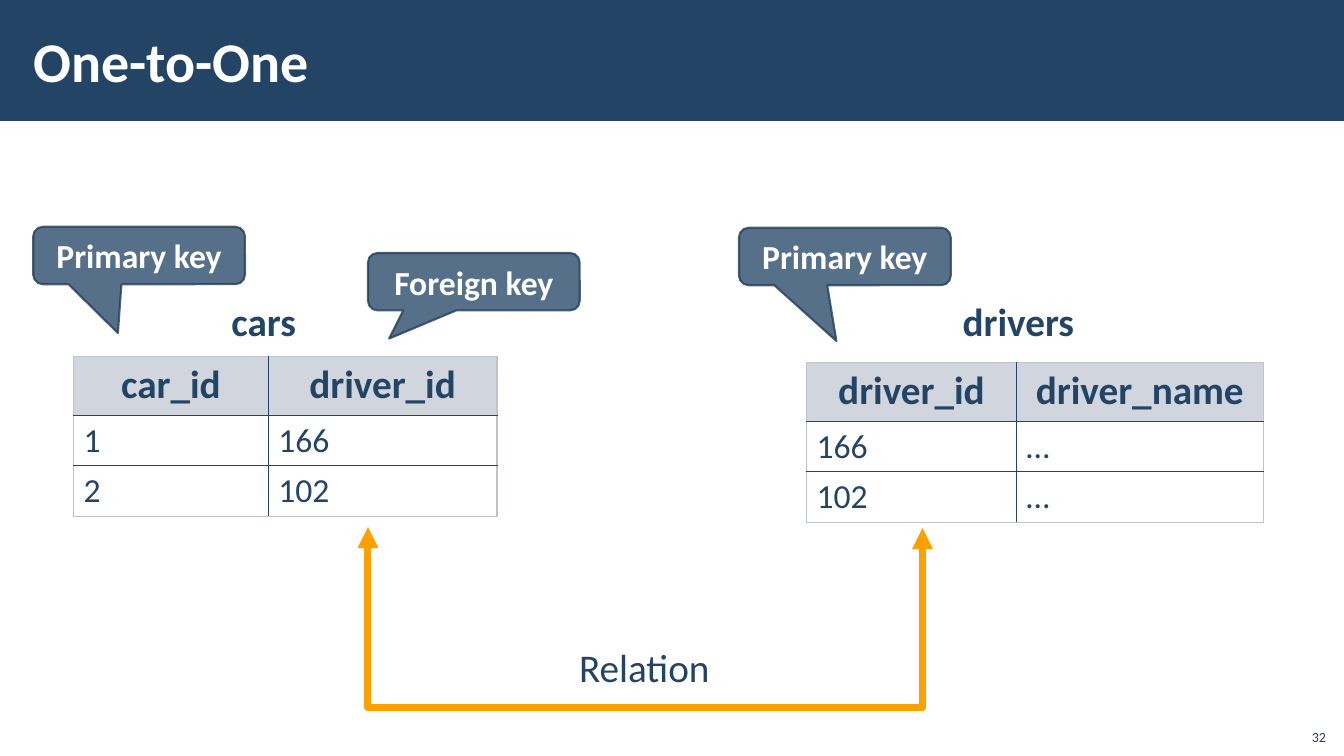
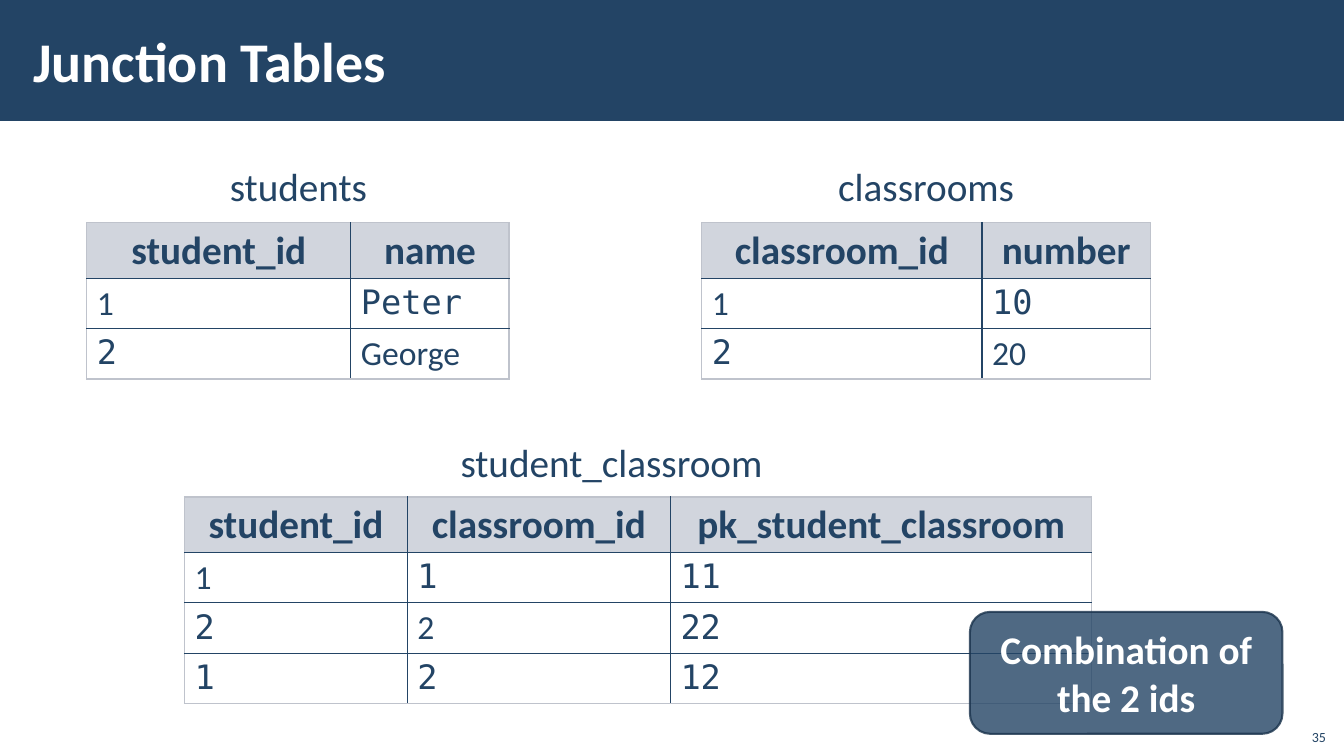
from dataclasses import dataclass

from lxml import etree
from pptx import Presentation
from pptx import util as u
from pptx.dml import color
from pptx.enum import shapes, text
from pptx.oxml import ns


@dataclass(frozen=True)
class Theme:
    navy: str = "234465"
    slate: str = "4F6984"
    edge: str = "253E57"
    dark: str = "1A334C"
    head: str = "D1D5DD"
    rim: str = "BFC3CC"
    gold: str = "FFA000"
    white: str = "FFFFFF"
    font: str = "Calibri"
    mono: str = "DejaVu Sans Mono"
    title: int = 40
    label: int = 28
    cell: int = 24
    page: int = 10


T = Theme()
Align, Anchor = text.PP_ALIGN, text.MSO_ANCHOR


# Helpers
def rgb(code):
    return color.RGBColor.from_string(code)


def inches(*sizes):
    return [u.Inches(size) for size in sizes]


def assign(thing, values):
    for key, value in values.items():
        setattr(thing, key, value)


def node(parent, tag, **values):
    return etree.SubElement(parent, ns.qn(tag), values)


def write(frame, words, size, tint=T.navy, bold=False, font=T.font,
          align=Align.LEFT, spacing=None):
    para = frame.paragraphs[0]
    assign(para, {"alignment": align, "line_spacing": spacing})
    run = para.add_run()
    run.text = words
    assign(run.font, {"name": font, "size": u.Pt(size), "bold": bold})
    run.font.color.rgb = rgb(tint)


def label(parent, words, box, size=T.label, wrap=False, bold=False,
          align=Align.CENTER, anchor=Anchor.TOP):
    frame = parent.shapes.add_textbox(*inches(*box)).text_frame
    assign(frame, {"word_wrap": wrap, "vertical_anchor": anchor})
    write(frame, words, size, bold=bold, align=align)


# Filled note with a see-through fill and edge
def note(slide, words, box, kind, fill, edge, alpha, size, tip=()):
    shape = slide.shapes.add_shape(kind, *inches(*box))
    shape.shadow.inherit = False
    for spot, value in enumerate(tip):
        shape.adjustments[spot] = value
    shape.fill.solid()
    shape.fill.fore_color.rgb = rgb(fill)
    shape.line.color.rgb = rgb(edge)
    shape.line.width = u.Pt(1.5)
    tints = shape.element.spPr.iter(ns.qn("a:srgbClr"))
    for tint, part in zip(list(tints), (alpha, 80)):
        node(tint, "a:alpha", val=str(part * 1000))
    assign(shape.text_frame, {"word_wrap": True, "vertical_anchor": Anchor.MIDDLE})
    write(shape.text_frame, words, size, T.white, True, align=Align.CENTER)


def callout(slide, words, left, top, tip):
    kind = shapes.MSO_SHAPE.ROUNDED_RECTANGULAR_CALLOUT
    note(slide, words, (left, top, 2.1, 0.57), kind, T.slate, T.edge, 95,
         T.cell, tip)


# Table with dark inner rules and a pale rim
def border(cell, sides):
    props = cell._tc.get_or_add_tcPr()
    for spot, (side, inner) in enumerate(sides.items()):
        line = etree.Element(ns.qn("a:ln" + side), w=str(u.Pt(1)))
        fill = node(line, "a:solidFill")
        node(fill, "a:srgbClr", val=T.navy if inner else T.rim)
        props.insert(spot, line)


def grid(slide, left, top, widths, rows, high=0.55, mono=()):
    low = 0.5
    size = sum(widths), high + low * (len(rows) - 1)
    frame = slide.shapes.add_table(len(rows), len(widths),
                                   *inches(left, top, *size))
    table = frame.table
    table.horz_banding = False
    for col, width in zip(table.columns, widths):
        col.width = u.Inches(width)
    for r, row in enumerate(rows):
        table.rows[r].height = u.Inches(low if r else high)
        for c, words in enumerate(row):
            cell = table.cell(r, c)
            if r:
                cell.fill.background()
                font = T.mono if (r, c) in mono else T.font
                write(cell.text_frame, words, T.cell, font=font)
            else:
                cell.fill.solid()
                cell.fill.fore_color.rgb = rgb(T.head)
                pad = u.Inches(0.17)
                assign(cell, {"margin_left": pad, "margin_right": pad})
                write(cell.text_frame, words, T.label, bold=True,
                      align=Align.CENTER, spacing=0.95)
            border(cell, {"L": c > 0, "R": c < len(row) - 1,
                          "T": r > 0, "B": r < len(rows) - 1})


# Elbow arrow that drops, runs across and rises again
def elbow(parent, start, end, depth):
    (x1, y1), (x2, y2) = start, end
    span, rise = x2 - x1, y2 - y1
    line = parent.shapes.add_connector(shapes.MSO_CONNECTOR.ELBOW,
                                       *inches(*start, *end))
    mid = (x1 + x2) / 2, (y1 + y2) / 2
    left, top, width, height = inches(mid[0] - rise / 2, mid[1] - span / 2,
                                      rise, span)
    assign(line, {"left": left, "top": top, "width": width, "height": height})
    props = line._element.spPr
    frame = props.find(ns.qn("a:xfrm"))
    frame.set("rot", str(270 * 60000))
    frame.set("flipH", "1")
    shape = props.find(ns.qn("a:prstGeom"))
    guides = shape.find(ns.qn("a:avLst"))
    if guides is None:
        guides = node(shape, "a:avLst")
    node(guides, "a:gd", name="adj1", fmla=f"val {round(depth / rise * 100000)}")
    line.line.color.rgb = rgb(T.gold)
    line.line.width = u.Pt(5)
    stroke = props.find(ns.qn("a:ln"))
    for tag in ("a:headEnd", "a:tailEnd"):
        node(stroke, tag, type="triangle")
    node(props, "a:effectLst")


# Shared layout: band and title place
def setup(deck):
    layout = deck.slide_layouts[5]
    slide = deck.slides.add_slide(layout)
    band = slide.shapes.add_shape(shapes.MSO_SHAPE.RECTANGLE,
                                  *inches(0, 0, 13.34, 1.2))
    band.shadow.inherit = False
    band.fill.solid()
    band.fill.fore_color.rgb = rgb(T.navy)
    band.line.fill.background()
    layout.shapes.element.insert(2, band.element)
    left, top, width, height = inches(0.21, 0.11, 10.63, 0.97)
    assign(layout.placeholders[0],
           {"left": left, "top": top, "width": width, "height": height})
    return layout, slide


def begin(slide, title, page):
    frame = slide.shapes.title.text_frame
    side, edge = inches(0.12, 0.04)
    assign(frame, {"margin_left": side, "margin_right": side,
                   "margin_top": edge, "margin_bottom": edge,
                   "vertical_anchor": Anchor.MIDDLE})
    write(frame, title, T.title, T.white, True)
    label(slide, page, (12.85, 7.12, 0.4, 0.32), T.page, True,
          align=Align.RIGHT, anchor=Anchor.BOTTOM)


# Slides
def single(slide):
    begin(slide, "One-to-One", "32")
    label(slide, "cars", (2.19, 2.9, 0.85, 0.57), bold=True)
    label(slide, "drivers", (9.44, 2.9, 1.32, 0.57), bold=True)
    callout(slide, "Primary key", 0.33, 2.25, (-0.1, 1.35))
    callout(slide, "Foreign key", 3.65, 2.51, (-0.4, 0.99))
    callout(slide, "Primary key", 7.33, 2.26, (-0.04, 1.47))
    group = slide.shapes.add_group_shape()
    elbow(group, (3.65, 5.23), (9.15, 5.24), 1.82)
    label(group, "Relation", (5.39, 6.33, 2, 0.57), wrap=True)
    grid(slide, 0.73, 3.54, (1.93, 2.27),
         [("car_id", "driver_id"), ("1", "166"), ("2", "102")], 0.58)
    grid(slide, 8, 3.6, (2.08, 2.45),
         [("driver_id", "driver_name"), ("166", "…"), ("102", "…")], 0.58)


def junction(slide):
    begin(slide, "Junction Tables", "35")
    mixed = {(1, 1), (2, 0)}
    grid(slide, 0.86, 2.21, (2.62, 1.57),
         [("student_id", "name"), ("1", "Peter"), ("2", "George")], mono=mixed)
    label(slide, "students", (2.17, 1.56, 1.58, 0.57))
    grid(slide, 6.96, 2.21, (2.78, 1.67),
         [("classroom_id", "number"), ("1", "10"), ("2", "20")], mono=mixed)
    label(slide, "classrooms", (8.2, 1.56, 1.97, 0.57))
    grid(slide, 1.83, 4.93, (2.21, 2.61, 4.18),
         [("student_id", "classroom_id", "pk_student_classroom"),
          ("1", "1", "11"), ("2", "2", "22"), ("1", "2", "12")],
         mono=mixed | {(1, 2), (2, 2), (3, 0), (3, 1), (3, 2)})
    label(slide, "student_classroom", (4.45, 4.3, 3.23, 0.57))
    note(slide, "Combination of the 2 ids", (9.62, 6.07, 3.1, 1.21),
         shapes.MSO_SHAPE.ROUNDED_RECTANGLE, T.navy, T.dark, 80, T.label)


def main():
    deck = Presentation()
    deck.slide_width, deck.slide_height = inches(13.33, 7.5)
    layout, first = setup(deck)
    single(first)
    junction(deck.slides.add_slide(layout))
    deck.save("out.pptx")


if __name__ == "__main__":
    main()
